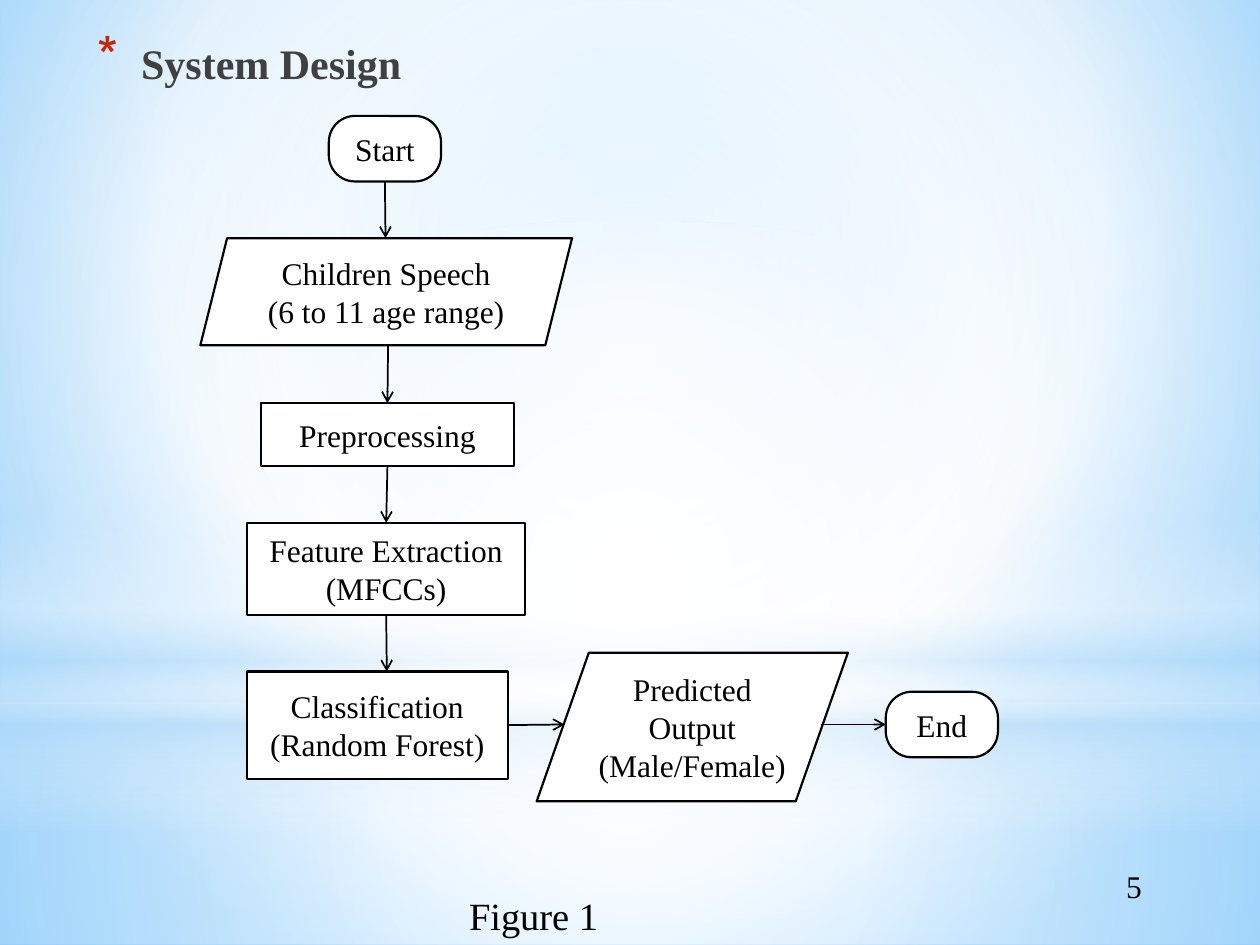
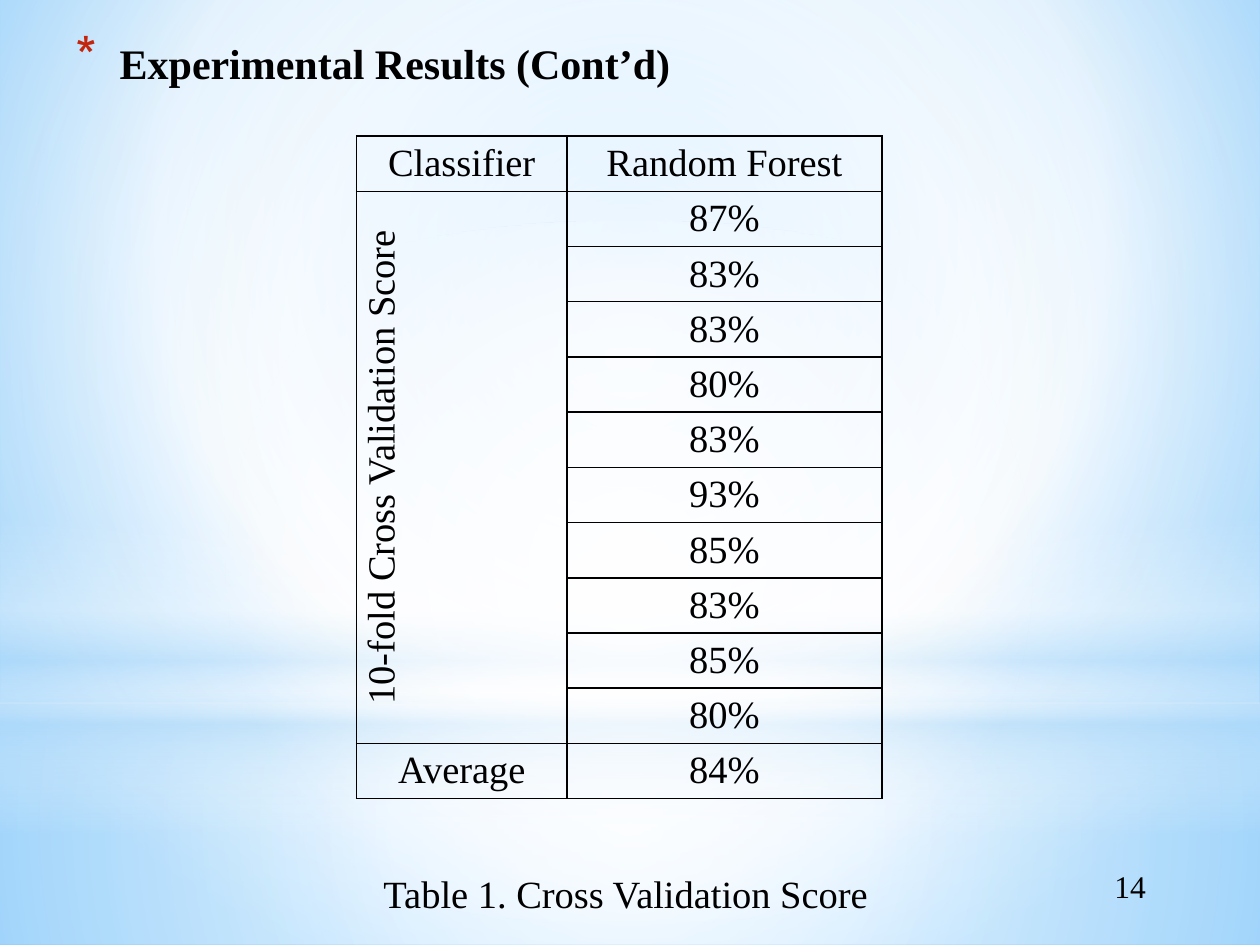
from pptx import Presentation
from pptx.dml.color import RGBColor
from pptx.enum.shapes import MSO_CONNECTOR, MSO_SHAPE
from pptx.enum.text import MSO_ANCHOR, PP_ALIGN
from pptx.oxml import parse_xml
from pptx.oxml.ns import nsdecls, qn
from pptx.util import Inches, Pt

FONT = "Times New Roman"
C = {"black": "000000", "white": "FFFFFF", "gray": "404040", "red": "C3260C",
     "sky": "B4DCFA", "bg_in": "9ED5FF", "bg_out": "5BB9FF"}
BOTTOM, LEFT, RIGHT, TOP = 2, 1, 3, 0
CENTRE = (50, 50, 50, 50)


def rgb(name):
    return RGBColor.from_string(C[name])


def box(*lengths):
    return [Inches(v) for v in lengths]


def write(tf, text, size=18, color="black", bold=False, align=PP_ALIGN.CENTER,
          anchor=MSO_ANCHOR.MIDDLE, wrap=True):
    """Fill a text frame, one paragraph per line of text."""
    tf.word_wrap = wrap
    tf.vertical_anchor = anchor
    for i, line in enumerate(text.split("\n")):
        p = tf.paragraphs[0] if i == 0 else tf.add_paragraph()
        p.alignment = align
        r = p.add_run()
        r.text = line
        r.font.name, r.font.size, r.font.bold = FONT, Pt(size), bold
        r.font.color.rgb = rgb(color)


def set_gradient(fill, element, stops, focus=None):
    """Stops are (position %, colour, opacity %); focus makes it circular."""
    fill.gradient()
    old = element.find(".//" + qn("a:gradFill"))
    gs = "".join(
        f'<a:gs pos="{pos * 1000}"><a:srgbClr val="{C[color]}">'
        f'<a:alpha val="{alpha * 1000}"/></a:srgbClr></a:gs>'
        for pos, color, alpha in stops)
    if focus:
        sides = " ".join(f'{k}="{v * 1000}"' for k, v in zip("ltrb", focus))
        way = f'<a:path path="circle"><a:fillToRect {sides}/></a:path>'
    else:
        way = '<a:lin ang="5400000" scaled="0"/>'
    old.getparent().replace(old, parse_xml(
        f'<a:gradFill {nsdecls("a")} rotWithShape="1"><a:gsLst>{gs}</a:gsLst>{way}</a:gradFill>'))


def decorate_master(prs, s):
    """Background and light bands, drawn on s and moved to the master."""
    master = prs.slide_master
    set_gradient(master.background.fill, master.element,
                 [(0, "bg_in", 100), (60, "white", 100), (100, "bg_out", 100)],
                 (20, 10, 20, 60))
    bands = [
        (MSO_SHAPE.RECTANGLE, (0, 5.58, 10, 1.92),
         [(0, "white", 91), (37, "white", 76), (100, "sky", 79)], CENTRE),
        (MSO_SHAPE.RECTANGLE, (0, 0, 10, 5.58),
         [(0, "white", 89), (48, "white", 62), (100, "sky", 79)], CENTRE),
        (MSO_SHAPE.RECTANGLE, (0, 4.12, 10, 2.5),
         [(0, "white", 0), (29, "white", 30), (45, "sky", 40),
          (55, "white", 26), (65, "sky", 60), (100, "white", 0)], None),
        (MSO_SHAPE.OVAL, (0, 1.75, 10, 5.58),
         [(0, "white", 100), (56, "white", 0)], CENTRE),
    ]
    for i, (kind, at, stops, focus) in enumerate(bands):
        sp = s.shapes.add_shape(kind, *box(*at))
        sp.shadow.inherit = False
        sp.line.fill.background()
        set_gradient(sp.fill, sp.element, stops, focus)
        master.shapes.element.insert(2 + i, sp.element)


def place(sp, at):
    sp.left, sp.top, sp.width, sp.height = box(*at)


def add_title(s, text, left, color="black"):
    sp = s.shapes.title
    place(sp, (left, 0.25, 7.12, 1.25))
    write(sp.text_frame, text, size=24, color=color, bold=True,
          align=PP_ALIGN.LEFT, anchor=MSO_ANCHOR.TOP)
    pPr = sp.text_frame.paragraphs[0].runs[0].font and sp.element.find(".//" + qn("a:pPr"))
    pPr.set("marL", str(Inches(0.35)))
    pPr.set("indent", str(Inches(-0.35)))
    for tag in (f'buClr {nsdecls("a")}><a:srgbClr val="{C["red"]}"/></a:buClr>',
                f'buSzPct {nsdecls("a")} val="128000"/>',
                f'buChar {nsdecls("a")} char="*"/>'):
        pPr.append(parse_xml("<a:" + tag))


def add_text(s, text, at, **fmt):
    write(s.shapes.add_textbox(*box(*at)).text_frame, text, **fmt)


def add_step(s, kind, text, at, adj=None):
    sp = s.shapes.add_shape(kind, *box(*at))
    sp.shadow.inherit = False
    sp.fill.solid()
    sp.fill.fore_color.rgb = rgb("white")
    sp.line.color.rgb = rgb("black")
    sp.line.width = Pt(1.25)
    if adj is not None:
        sp.adjustments[0] = adj
    write(sp.text_frame, text)
    return sp


def add_arrow(s, start, end, source=None, target=None):
    """source and target are (shape, connection site) pairs."""
    cn = s.shapes.add_connector(MSO_CONNECTOR.STRAIGHT, *box(*start, *end))
    if source:
        cn.begin_connect(*source)
    if target:
        cn.end_connect(*target)
    cn.line.color.rgb = rgb("black")
    cn.line.width = Pt(1)
    cn.element.find(".//" + qn("a:ln")).append(
        parse_xml(f'<a:tailEnd {nsdecls("a")} type="arrow"/>'))
    cn.element.spPr.append(parse_xml(f'<a:effectLst {nsdecls("a")}/>'))


def add_score_table(s, scores, average):
    rows = len(scores) + 2
    frame = s.shapes.add_table(rows, 2, *box(2.83, 1.08, 4.17, 5.26))
    table = frame.table
    table.first_row = table.horz_banding = False
    table.columns[0].width, table.columns[1].width = box(1.67, 2.5)
    labels = ["Classifier", "10-fold Cross Validation Score"] + [""] * (len(scores) - 1) + ["Average"]
    values = ["Random Forest", *scores, average]
    for i, texts in enumerate(zip(labels, values)):
        for j, text in enumerate(texts):
            cell = table.cell(i, j)
            cell.fill.background()
            cell.margin_top = cell.margin_bottom = Inches(0.03)
            cell.vertical_anchor = MSO_ANCHOR.MIDDLE
            if text:
                write(cell.text_frame, text, size=22)
                cell.vertical_anchor = MSO_ANCHOR.MIDDLE
    table.cell(1, 0).merge(table.cell(len(scores), 0))
    table.cell(1, 0).vertical_anchor = MSO_ANCHOR.TOP

    # Borders, and the upward label in the merged cell
    props = list(frame.element.iter(qn("a:tcPr")))
    for tcPr in props:
        for k, side in enumerate("LRTB"):
            tcPr.insert(k, parse_xml(
                f'<a:ln{side} {nsdecls("a")} w="{Pt(1)}"><a:solidFill>'
                f'<a:srgbClr val="{C["black"]}"/></a:solidFill></a:ln{side}>'))
    props[2].set("vert", "vert270")


def build_design(s):
    add_title(s, "System Design", 0.67, color="gray")
    body = s.placeholders[1]
    place(body, (0.5, 1.38, 7.42, 6.12))
    write(body.text_frame, "Figure 1", size=22, anchor=MSO_ANCHOR.BOTTOM)
    pPr = body.element.find(".//" + qn("a:pPr"))
    pPr.set("marL", str(Inches(0.05)))
    pPr.set("indent", "0")
    pPr.append(parse_xml(f'<a:buNone {nsdecls("a")}/>'))
    add_text(s, "5", (8, 6.83, 2, 0.4))

    # Steps of the flow chart
    rect, data, end_cap = MSO_SHAPE.RECTANGLE, MSO_SHAPE.PARALLELOGRAM, MSO_SHAPE.ROUNDED_RECTANGLE
    start = add_step(s, end_cap, "Start", (2.61, 0.92, 0.89, 0.52), 0.398)
    add_step(s, data, "Children Speech\n(6 to 11 age range)", (1.59, 1.89, 2.95, 0.85))
    prep = add_step(s, rect, "Preprocessing", (2.07, 3.2, 2.01, 0.5))
    features = add_step(s, rect, "Feature Extraction\n(MFCCs)", (1.96, 4.15, 2.21, 0.73))
    classes = add_step(s, rect, "Classification\n(Random Forest)", (1.96, 5.33, 2.07, 0.85))
    add_step(s, data, "Predicted Output\n(Male/Female)", (4.26, 5.18, 2.47, 1.18), 0.351)
    end = add_step(s, end_cap, "End", (7.03, 5.49, 0.89, 0.52), 0.398)

    # Arrows
    add_arrow(s, (3.06, 1.44), (3.06, 1.89), source=(start, BOTTOM))
    add_arrow(s, (3.08, 2.74), (3.08, 3.2), target=(prep, TOP))
    add_arrow(s, (3.07, 3.7), (3.07, 4.15), (prep, BOTTOM), (features, TOP))
    add_arrow(s, (3.07, 4.88), (3.07, 5.33), source=(features, BOTTOM))
    add_arrow(s, (4.03, 5.75), (4.48, 5.75), source=(classes, RIGHT))
    add_arrow(s, (6.52, 5.75), (7.03, 5.75), target=(end, LEFT))


def build_results(s):
    add_title(s, "Experimental Results (Cont’d)", 0.5)
    add_score_table(s, ["87%", "83%", "83%", "80%", "83%", "93%", "85%", "83%", "85%", "80%"], "84%")
    add_text(s, "14", (7.97, 6.83, 2, 0.4))
    add_text(s, "Table 1. Cross Validation Score", (2.92, 6.85, 4.09, 0.47), size=22, wrap=False)


def main():
    prs = Presentation()
    prs.slide_width, prs.slide_height = box(10, 7.5)
    design = prs.slides.add_slide(prs.slide_layouts[1])
    results = prs.slides.add_slide(prs.slide_layouts[5])
    decorate_master(prs, design)
    build_design(design)
    build_results(results)
    prs.save("out.pptx")


if __name__ == "__main__":
    main()
